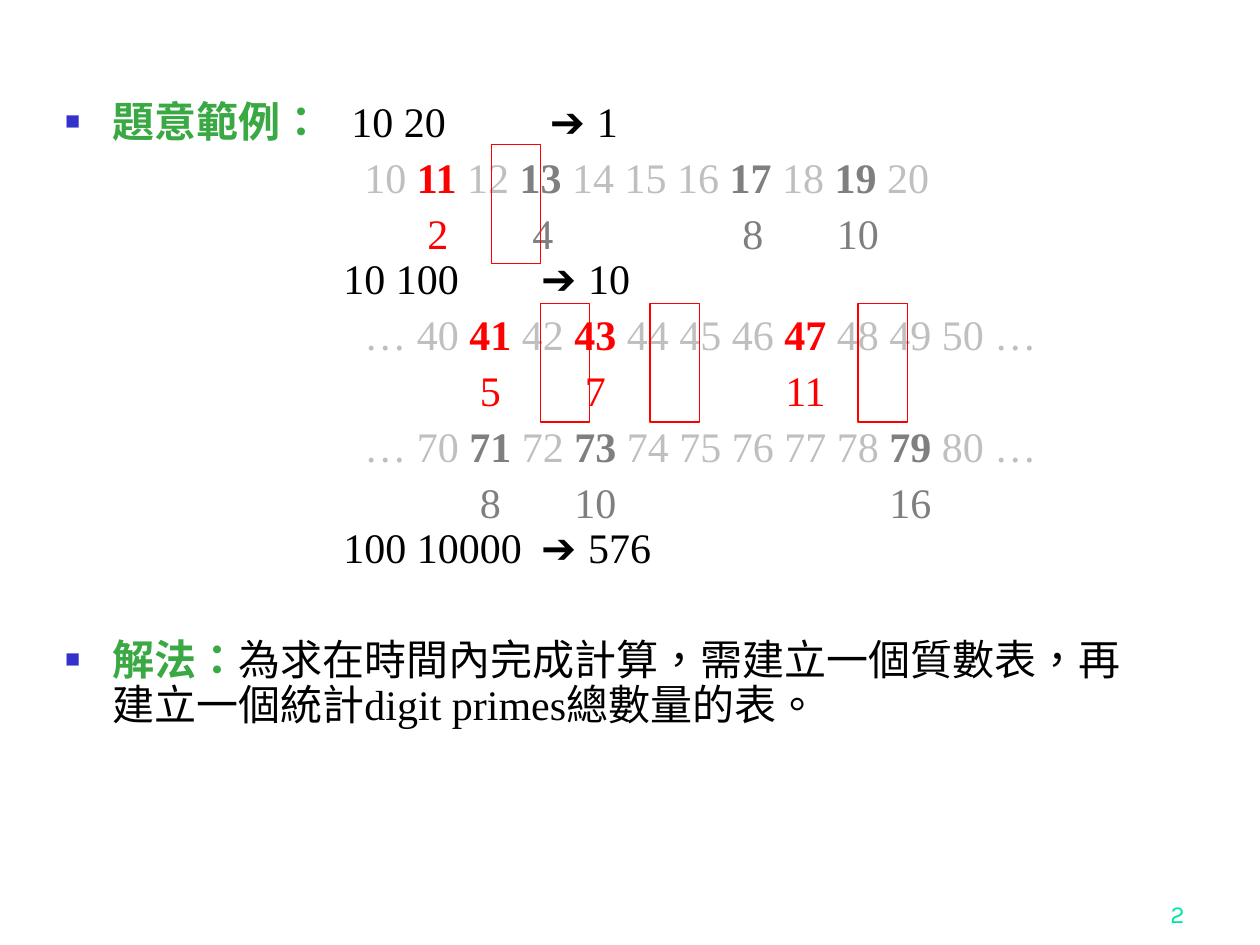
import itertools

import pptx
import pptx.dml.color
import pptx.enum.shapes
import pptx.enum.text
import pptx.oxml.ns
import pptx.util
from lxml import etree

Pt = pptx.util.Pt
COLOURS = {
    "text": "000000",
    "heading": "3BA943",
    "bullet": "3333CC",
    "number": "BFBFBF",
    "prime": "7F7F7F",
    "digit prime": "FF0000",
    "page number": "00E4A8",
}
SERIF = "Times New Roman"
ROW_LEFT = 171
COLUMN_PITCH = 30
QUERY_LEFT = 159
ARROW_LEFT = 272
HANGING = 27


def rgb(name):
    """Return the named colour."""
    return pptx.dml.color.RGBColor.from_string(COLOURS[name])


def add_span(para, text, colour="text", bold=False, font=SERIF, size=24):
    """Add a formatted run to a paragraph."""
    span = para.add_run()
    span.text = text
    span.font.name = font
    span.font.size = Pt(size)
    span.font.bold = bold
    span.font.color.rgb = rgb(colour)
    span._r.get_or_add_rPr().set("lang", "zh-TW")


def add_element(parent, tag, **attributes):
    """Append a drawing element to a parent."""
    return etree.SubElement(parent, pptx.oxml.ns.qn(tag), attributes)


def add_para(frame, stops=(), align="l", bullet=False, before=6):
    """Add a paragraph with its spacing, bullet and tab stops."""
    first = not frame.paragraphs[0].runs
    para = frame.paragraphs[0] if first else frame.add_paragraph()
    para.line_spacing = Pt(25.9)
    para.space_before = Pt(0 if first else before)
    properties = para._p.get_or_add_pPr()
    if bullet:
        properties.set("marL", str(Pt(HANGING)))
        properties.set("indent", str(Pt(-HANGING)))
        colour = add_element(properties, "a:buClr")
        add_element(colour, "a:srgbClr", val=COLOURS["bullet"])
        add_element(properties, "a:buSzPct", val="60000")
        add_element(properties, "a:buFont", typeface="Arial")
        add_element(properties, "a:buChar", char="■")
    if stops:
        tabs = add_element(properties, "a:tabLst")
        for stop in stops:
            add_element(tabs, "a:tab", pos=str(Pt(stop)), algn=align)
    return para


def add_result(para, query, result):
    """Add an input range, an arrow and the resulting count."""
    add_span(para, f"\t{query}\t")
    add_span(para, "➔ ", font="Arial")
    add_span(para, result)


def add_query(frame, query, result):
    """Add a result on a line of its own."""
    para = add_para(frame, (QUERY_LEFT, ARROW_LEFT), before=0)
    add_result(para, query, result)


def add_numbers(frame, numbers, digit_sums, highlights):
    """Add a row of numbers and the digit sums centred below its primes."""
    words = numbers.split()

    def kind(word):
        """Return the colour name of a number."""
        if word not in digit_sums:
            return "number"
        return "digit prime" if word in highlights else "prime"

    para = add_para(frame, (ROW_LEFT,))
    add_span(para, "\t")
    for colour, group in itertools.groupby(words, kind):
        group = list(group)
        gap = "" if group[-1] == words[-1] else " "
        add_span(para, " ".join(group) + gap, colour, colour != "number")

    centres = [ROW_LEFT + COLUMN_PITCH * words.index(word) + 12 for word in digit_sums]
    para = add_para(frame, centres, "ctr")
    for word, digit_sum in digit_sums.items():
        add_span(para, f"\t{digit_sum}", kind(word))


def add_body(page):
    """Add the box with the examples and the solution."""
    box = page.shapes.add_textbox(Pt(30.2), Pt(54), Pt(635.8), Pt(442.8))
    frame = box.text_frame
    frame.word_wrap = True

    para = add_para(frame, (163.5, 277), bullet=True)
    add_span(para, "題意範例：", "heading", True)
    add_result(para, "10 20", "1")
    add_numbers(frame, "10 11 12 13 14 15 16 17 18 19 20",
                {"11": 2, "13": 4, "17": 8, "19": 10}, {"11"})
    add_query(frame, "10 100", "10")
    add_numbers(frame, "… 40 41 42 43 44 45 46 47 48 49 50 …",
                {"41": 5, "43": 7, "47": 11}, {"41", "43", "47"})
    add_numbers(frame, "… 70 71 72 73 74 75 76 77 78 79 80 …",
                {"71": 8, "73": 10, "79": 16}, set())
    add_query(frame, "100 10000", "576")

    para = add_para(frame, bullet=True, before=38)
    add_span(para, "解法：", "heading", True)
    add_span(para, "為求在時間內完成計算，需建立一個質數表，再建立一個統計digit primes總數量的表。")


def add_frame(page, left, top):
    """Add an unfilled red frame."""
    shape = page.shapes.add_shape(
        pptx.enum.shapes.MSO_SHAPE.RECTANGLE, Pt(left), Pt(top), Pt(28.1), Pt(67.7))
    shape.shadow.inherit = False
    shape.fill.background()
    shape.line.color.rgb = rgb("digit prime")
    shape.line.width = Pt(0.75)


def add_page_number(page, number):
    """Add the page number at the lower right."""
    box = page.shapes.add_textbox(Pt(534.2), Pt(498.2), Pt(149.8), Pt(36))
    frame = box.text_frame
    frame.word_wrap = True
    frame.vertical_anchor = pptx.enum.text.MSO_ANCHOR.BOTTOM
    para = frame.paragraphs[0]
    para.alignment = pptx.enum.text.PP_ALIGN.RIGHT
    add_span(para, number, "page number", font="Karla", size=14)


def main():
    """Build and save the deck."""
    deck = pptx.Presentation()
    deck.slide_width, deck.slide_height = Pt(720), Pt(540)
    page = deck.slides.add_slide(deck.slide_layouts[6])
    add_page_number(page, "2")
    add_body(page)
    for left, top in ((280.8, 82.8), (308.9, 173.5), (371.5, 173.5), (490.3, 173.5)):
        add_frame(page, left, top)
    deck.save("out.pptx")


if __name__ == "__main__":
    main()
